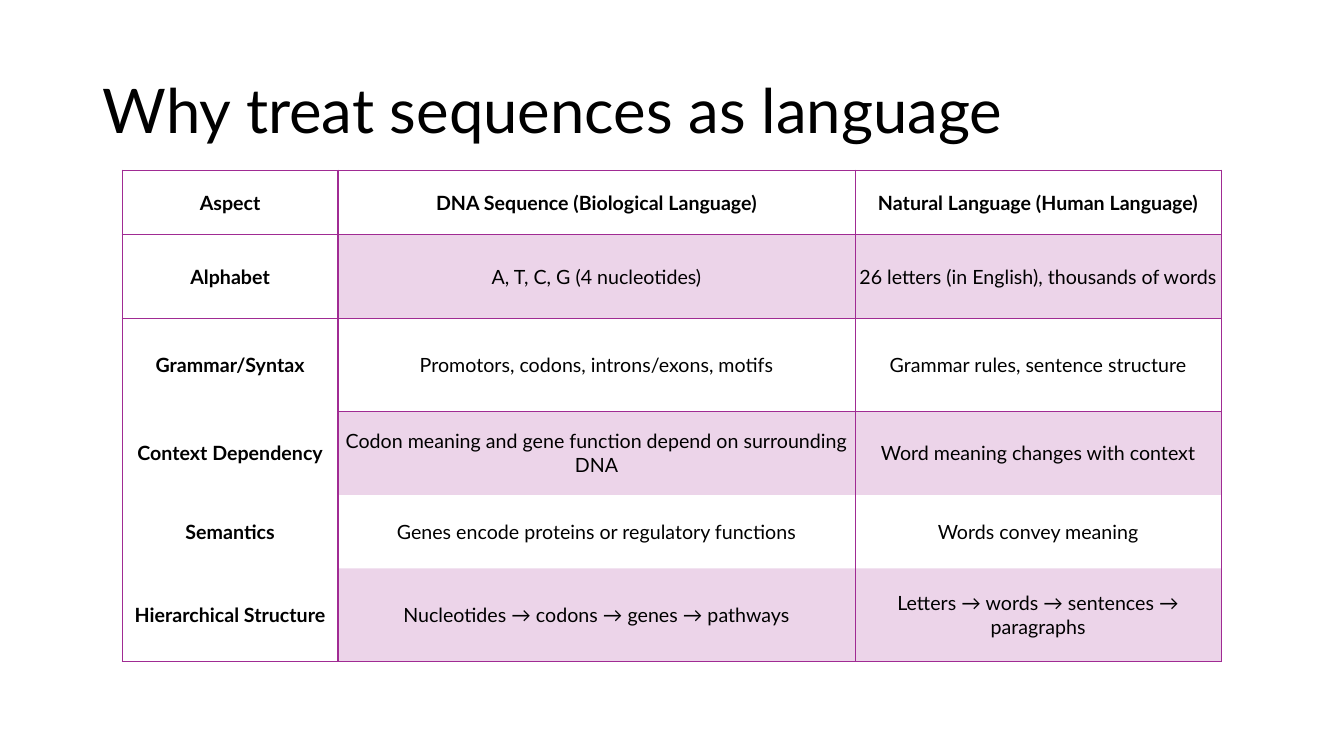
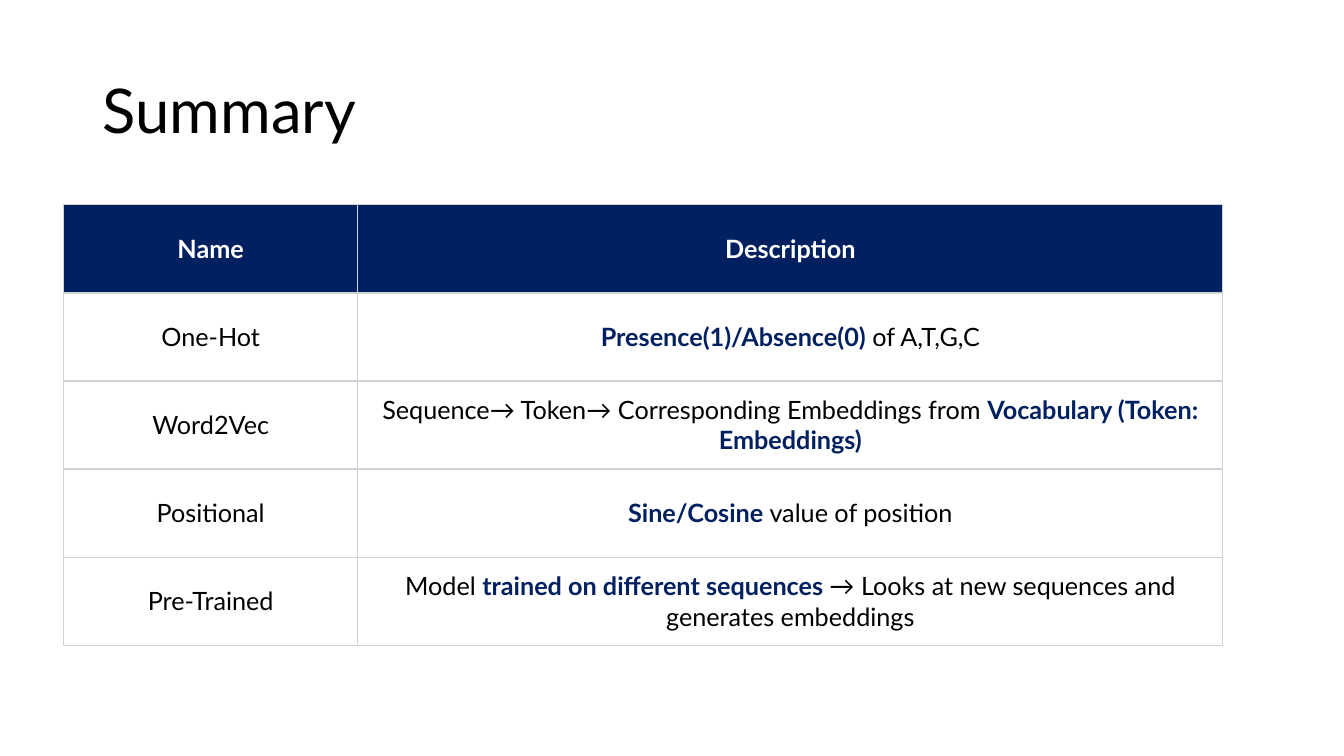
from dataclasses import dataclass
from lxml.etree import SubElement
from pptx import Presentation
from pptx.dml.color import RGBColor
from pptx.enum.text import MSO_ANCHOR, MSO_AUTO_SIZE, PP_ALIGN
from pptx.oxml.ns import qn
from pptx.util import Inches, Length, Pt


@dataclass(frozen=True)
class Theme:
    font: str = "Lato"
    ink: str = "000000"
    white: str = "FFFFFF"
    navy: str = "002060"
    plum: str = "A02B93"
    grey: str = "CCD2D8"
    head: int = 44
    large: int = 18
    small: int = 14
    plain: str = "{2D5ABB26-0587-4C30-8999-92F81FD0307C}"


@dataclass(frozen=True)
class Look:
    fill: str | None = None
    alpha: int = 100
    ink: str = "000000"
    bold: bool = False


@dataclass(frozen=True)
class Grid:
    left: float
    top: float
    cols: tuple[float, ...]
    rows: tuple[float, ...]
    texts: tuple[tuple[str, ...], ...]
    size: int
    line: str
    rules: dict[int, int]
    header: Look
    side: Look
    band: Look
    body: Look = Look()
    tight: bool = False

    def look(self, row: int, col: int) -> Look:
        if row == 0:
            return self.header
        if col == 0:
            return self.side
        return self.band if row % 2 else self.body

    def edges(self, row: int, col: int) -> str:
        def ruled(rule: int) -> bool:
            return rule in self.rules and col >= self.rules[rule]

        return "LR" + "T" * ruled(row) + "B" * ruled(row + 1)


THEME = Theme()
WIDE, HIGH = Inches(13.33), Inches(7.5)


def across(share: float) -> Length:
    return Length(round(WIDE * share / 100))


def down(share: float) -> Length:
    return Length(round(HIGH * share / 100))


def style(font, size: int, ink: str, bold: bool = False) -> None:
    font.name = THEME.font
    font.size = Pt(size)
    font.bold = bold
    font.color.rgb = RGBColor.from_string(ink)


def add_slide(deck, text: str):
    slide = deck.slides.add_slide(deck.slide_layouts[5])
    title = slide.shapes.title
    title.left, title.top = across(6.9), down(5.33)
    title.width, title.height = across(86.27), down(19.33)
    frame = title.text_frame
    frame.text = text
    frame.auto_size = MSO_AUTO_SIZE.NONE
    frame.vertical_anchor = MSO_ANCHOR.MIDDLE
    para = frame.paragraphs[0]
    para.alignment = PP_ALIGN.LEFT
    para.line_spacing = 0.9
    style(para.font, THEME.head, THEME.ink)
    return slide


def border(cell, edges: str, ink: str) -> None:
    props = cell._tc.get_or_add_tcPr()
    for edge in edges:
        line = SubElement(props, qn(f"a:ln{edge}"), w=str(Pt(1)))
        fill = SubElement(line, qn("a:solidFill"))
        SubElement(fill, qn("a:srgbClr"), val=ink)


def paint(cell, look: Look) -> None:
    if look.fill is None:
        cell.fill.background()
        return
    cell.fill.solid()
    cell.fill.fore_color.rgb = RGBColor.from_string(look.fill)
    if look.alpha < 100:
        tint = cell._tc.tcPr.find(qn("a:solidFill")).find(qn("a:srgbClr"))
        SubElement(tint, qn("a:alpha"), val=str(look.alpha * 1000))


def write(cell, text: str, size: int, look: Look) -> None:
    cell.vertical_anchor = MSO_ANCHOR.MIDDLE
    para = cell.text_frame.paragraphs[0]
    para.alignment = PP_ALIGN.CENTER
    style(para.font, size, look.ink, look.bold)
    for spot, part in enumerate(text.split("*")):
        if part:
            run = para.add_run()
            run.text = part
            if spot % 2:
                run.font.bold = True
                run.font.color.rgb = RGBColor.from_string(THEME.navy)


def add_grid(slide, grid: Grid) -> None:
    table = slide.shapes.add_table(
        len(grid.rows), len(grid.cols),
        across(grid.left), down(grid.top),
        across(sum(grid.cols)), down(sum(grid.rows)),
    ).table
    table.first_row = table.horz_banding = False
    table._tbl.tblPr.find(qn("a:tableStyleId")).text = THEME.plain
    for col, share in zip(table.columns, grid.cols):
        col.width = across(share)
    for row, share in zip(table.rows, grid.rows):
        row.height = down(share)
    for r, texts in enumerate(grid.texts):
        for c, text in enumerate(texts):
            cell, look = table.cell(r, c), grid.look(r, c)
            if grid.tight:
                cell.margin_left = cell.margin_right = 0
                cell.margin_top = cell.margin_bottom = 0
            border(cell, grid.edges(r, c), grid.line)
            paint(cell, look)
            write(cell, text, grid.size, look)


ASPECTS = Grid(
    left=9.1, top=22.53,
    cols=(16.05, 38.48, 27.23),
    rows=(8.53, 11.07, 12.27, 11.07, 9.73, 12.27),
    texts=(
        ("Aspect", "DNA Sequence (Biological Language)",
         "Natural Language (Human Language)"),
        ("Alphabet", "A, T, C, G (4 nucleotides)",
         "26 letters (in English), thousands of words"),
        ("Grammar/Syntax", "Promotors, codons, introns/exons, motifs",
         "Grammar rules, sentence structure"),
        ("Context Dependency",
         "Codon meaning and gene function depend on surrounding DNA",
         "Word meaning changes with context"),
        ("Semantics", "Genes encode proteins or regulatory functions",
         "Words convey meaning"),
        ("Hierarchical Structure", "Nucleotides → codons → genes → pathways",
         "Letters → words → sentences → paragraphs"),
    ),
    size=THEME.small, line=THEME.plum,
    rules={0: 0, 1: 0, 2: 1, 6: 0},
    header=Look(bold=True),
    side=Look(fill=THEME.white, bold=True),
    band=Look(fill=THEME.plum, alpha=20),
    tight=True,
)

METHODS = Grid(
    left=4.73, top=27.1,
    cols=(21.9, 64.36),
    rows=(11.65,) * 5,
    texts=(
        ("Name", "Description"),
        ("One-Hot", "*Presence(1)/Absence(0)* of A,T,G,C"),
        ("Word2Vec", "Sequence→ Token→ Corresponding Embeddings from "
                     "*Vocabulary (Token: Embeddings)*"),
        ("Positional", "*Sine/Cosine *value of position"),
        ("Pre-Trained", "Model *trained on different sequences *"
                        "→ Looks at new sequences and generates embeddings"),
    ),
    size=THEME.large, line=THEME.grey,
    rules=dict.fromkeys(range(6), 0),
    header=Look(fill=THEME.navy, ink=THEME.white, bold=True),
    side=Look(), band=Look(),
)


def main() -> None:
    deck = Presentation()
    deck.slide_width, deck.slide_height = WIDE, HIGH
    add_grid(add_slide(deck, "Why treat sequences as language"), ASPECTS)
    add_grid(add_slide(deck, "Summary"), METHODS)
    deck.save("out.pptx")


if __name__ == "__main__":
    main()
